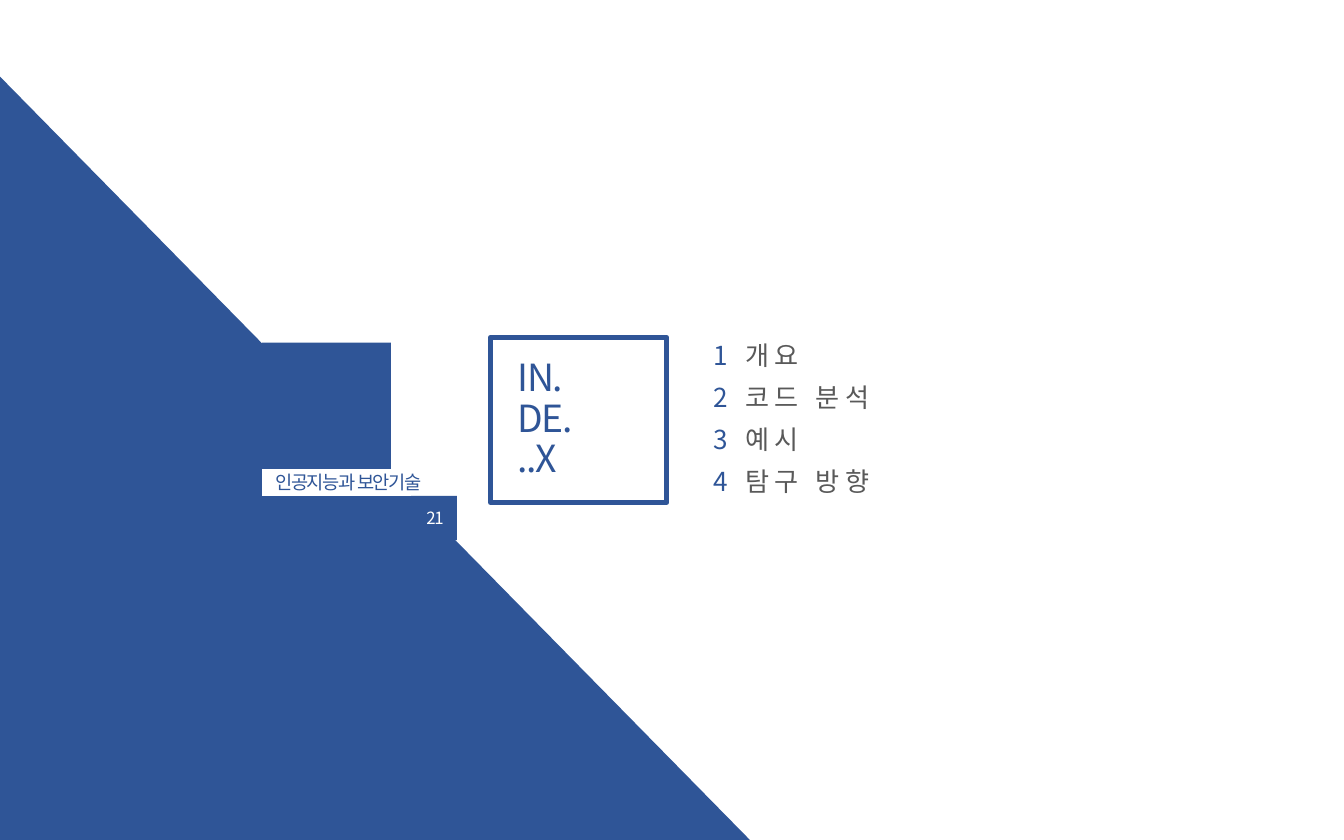
from lxml import etree
from pptx import Presentation
from pptx import util as u
from pptx.dml.color import RGBColor
from pptx.enum import shapes, text
from pptx.oxml import ns

COLORS = {"blue": "2F5597", "white": "FFFFFF", "gray": "595959"}
FONT = "Noto Sans CJK KR"
TOPICS = ["개요", "코드 분석", "예시", "탐구 방향"]


def color(name):
    return RGBColor.from_string(COLORS[name])


def add_block(slide, box, fill, kind=shapes.MSO_SHAPE.RECTANGLE):
    shape = slide.shapes.add_shape(kind, *map(u.Inches, box))
    shape.shadow.inherit = False
    shape.fill.solid()
    shape.fill.fore_color.rgb = color(fill)
    shape.line.fill.background()
    return shape


def style_paragraph(paragraph, size, color_name, spacing, alignment):
    """Set the font for Latin and Korean text; spacing is in points."""
    paragraph.alignment = alignment
    font = paragraph.font
    font.size = u.Pt(size)
    font.color.rgb = color(color_name)
    font.name = FONT
    properties = paragraph._p.pPr.find(ns.qn("a:defRPr"))
    properties.set("spc", str(round(spacing * 100)))
    etree.SubElement(properties, ns.qn("a:ea"), typeface=FONT)


def write_label(shape, label, size, color_name, alignment):
    frame = shape.text_frame
    frame.word_wrap = True
    frame.vertical_anchor = text.MSO_ANCHOR.MIDDLE
    paragraph = frame.paragraphs[0]
    paragraph.text = label
    style_paragraph(paragraph, size, color_name, -0.7, alignment)
    return frame


def add_backdrop(slide, box):
    left, top, width, height = box
    triangle = add_block(slide, box, "blue", shapes.MSO_SHAPE.ISOSCELES_TRIANGLE)
    triangle.adjustments[0] = 0
    # Square step on the slope
    add_block(slide, (left + 1.95, top + 1.98, 0.96, 0.96), "blue")


def add_index_title(slide, box):
    shape = add_block(slide, box, "white")
    shape.line.color.rgb = color("blue")
    shape.line.width = u.Pt(2.75)
    frame = write_label(shape, "IN.\vDE.\v..X", 20, "blue", text.PP_ALIGN.JUSTIFY)
    frame.margin_left = frame.margin_right = u.Inches(0.2)
    frame.margin_top = frame.margin_bottom = 0
    frame.paragraphs[0].line_spacing = 0.9


def add_course_tag(slide, box):
    left, top, width, height = box
    name = add_block(slide, (left, top, width, 0.2), "white")
    write_label(name, "인공지능과 보안기술", 10, "blue", text.PP_ALIGN.JUSTIFY)
    # Narrow number box, flush with the right edge
    number = add_block(slide, (left + width - 0.34, top + 0.2, 0.34, height - 0.2), "blue")
    write_label(number, "21", 9, "white", text.PP_ALIGN.RIGHT)


def add_topics(slide, box):
    frame = slide.shapes.add_textbox(*map(u.Inches, box)).text_frame
    frame.word_wrap = True
    frame.vertical_anchor = text.MSO_ANCHOR.MIDDLE
    for number, topic in enumerate(TOPICS, 1):
        paragraph = frame.paragraphs[0] if number == 1 else frame.add_paragraph()
        paragraph.line_spacing = 0.9
        if number > 1:
            paragraph.space_before = u.Pt(7.5)
        style_paragraph(paragraph, 14, "gray", 3, text.PP_ALIGN.LEFT)
        number_run = paragraph.add_run()
        number_run.text = f"{number} "
        number_run.font.color.rgb = color("blue")
        paragraph.add_run().text = topic


def main():
    presentation = Presentation()
    presentation.slide_width = u.Inches(10)
    presentation.slide_height = u.Inches(6.25)
    slide = presentation.slides.add_slide(presentation.slide_layouts[6])
    add_backdrop(slide, (0, 0.57, 5.58, 5.68))
    add_index_title(slide, (3.65, 2.51, 1.31, 1.23))
    add_course_tag(slide, (1.95, 3.49, 1.45, 0.53))
    add_topics(slide, (5.21, 1.92, 4.63, 2.41))
    presentation.save("out.pptx")


if __name__ == "__main__":
    main()
